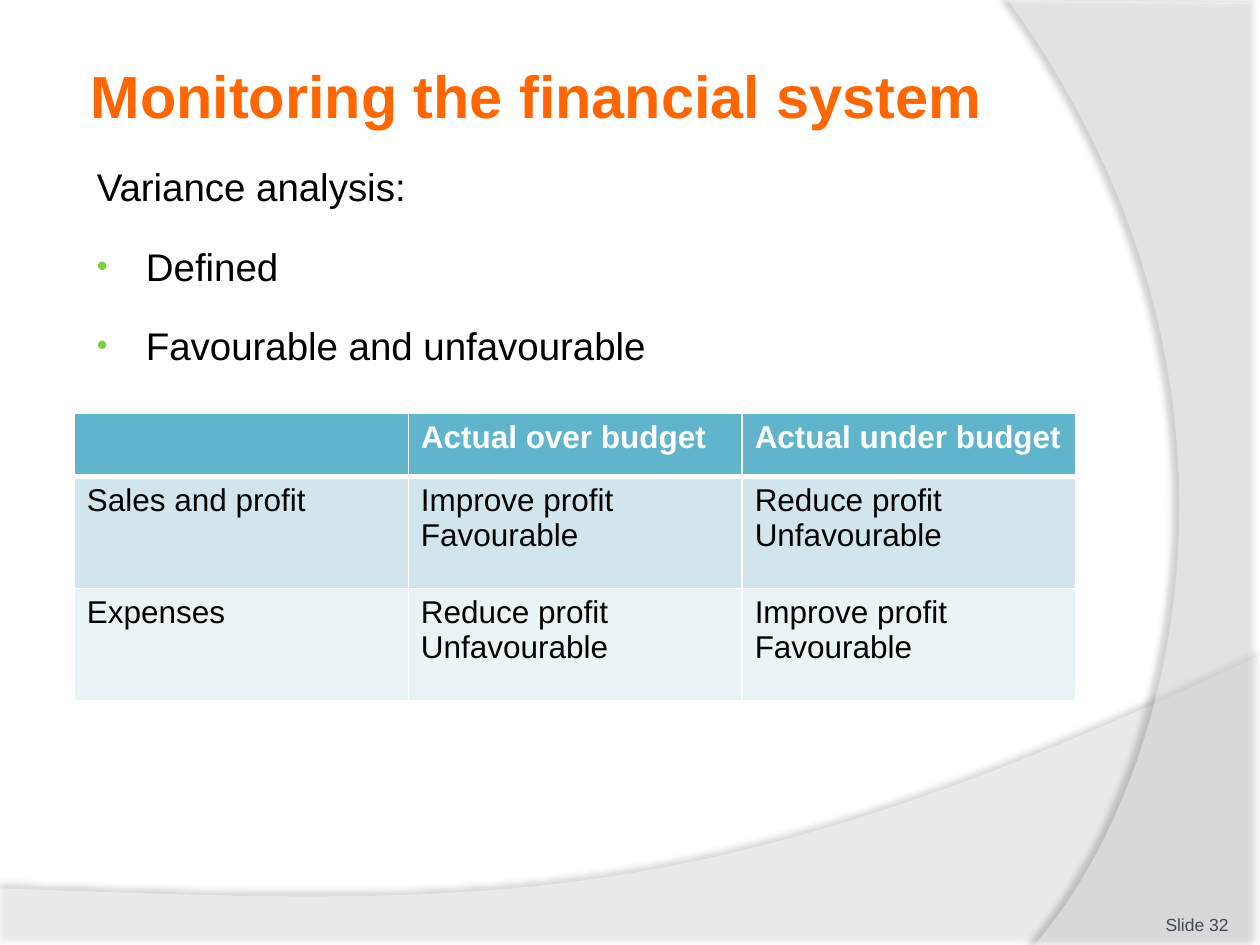
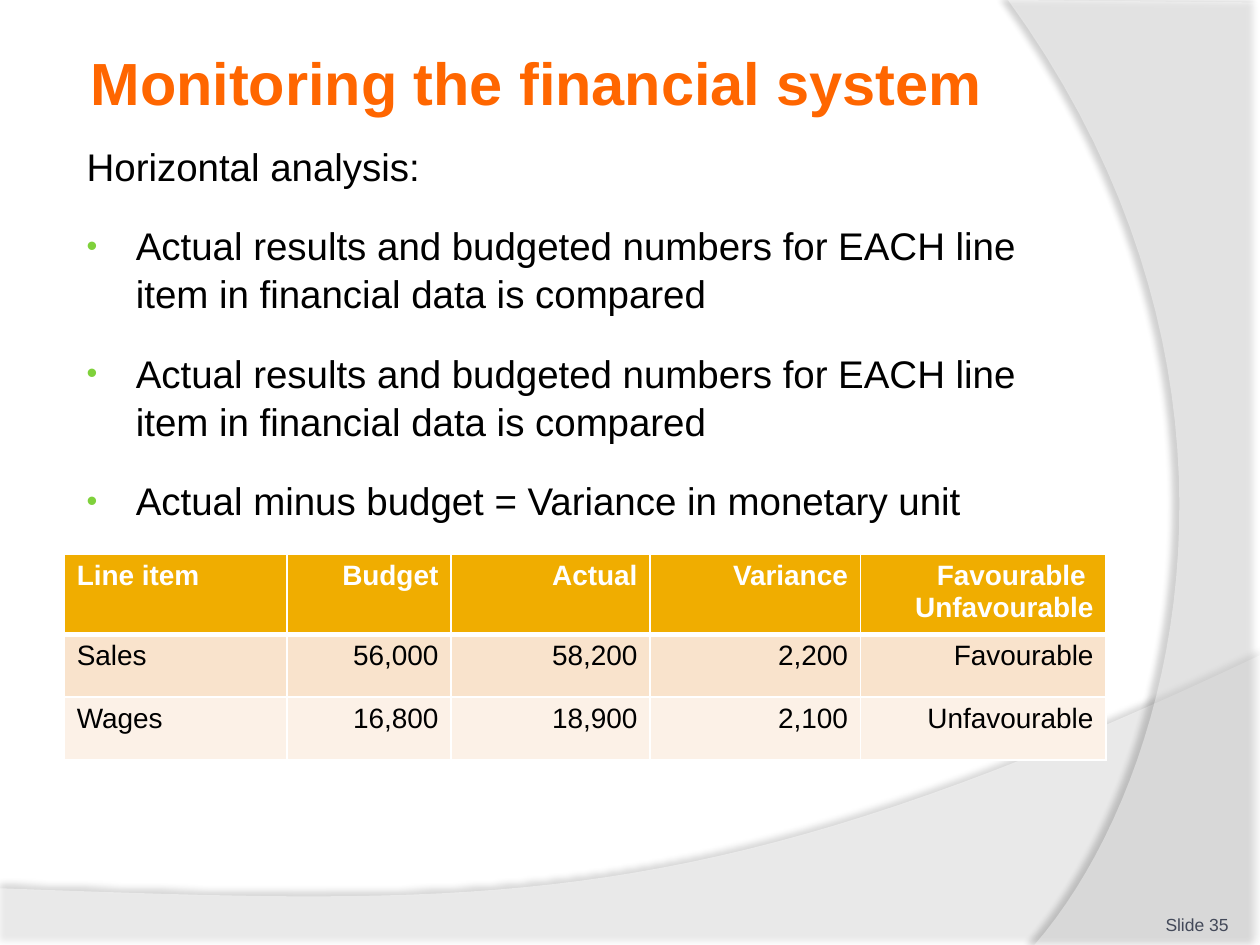
from lxml.etree import SubElement
from pptx import Presentation
from pptx.dml.color import RGBColor
from pptx.enum.text import MSO_ANCHOR as Anchor, PP_ALIGN as Align
from pptx.oxml.ns import qn
from pptx.util import Inches, Pt

WHITE = RGBColor(0xFF, 0xFF, 0xFF)
BLACK = RGBColor(0x00, 0x00, 0x00)
ORANGE = RGBColor(0xFF, 0x66, 0x00)
GREEN = RGBColor(0x7F, 0xD1, 0x3B)
SLATE = RGBColor(0x43, 0x49, 0x59)
TEAL_BANDS = [RGBColor(0x60, 0xB5, 0xCC), RGBColor(0xD2, 0xE5, 0xEC), RGBColor(0xEA, 0xF3, 0xF6)]
GOLD_BANDS = [RGBColor(0xF0, 0xAD, 0x00), RGBColor(0xF9, 0xE3, 0xCC), RGBColor(0xFC, 0xF1, 0xE7)]
FONT = "Arial"
TITLE = "Monitoring the financial system"
BODY_INDENT = Inches(0.39)

SLIDES = [
    {
        "title_box": (0.67, 0.36, 8.17, 0.79),
        "body_box": (0.67, 1.23, 8.17, 4.95),
        "lead": "Variance analysis:",
        "bullets": ["Defined", "Favourable and unfavourable"],
        "number": "Slide 32",
        "table": {
            "at": (0.59, 3.28),
            "columns": [2.65, 2.65, 2.65],
            "heights": [0.5, 0.89, 0.89],
            "size": 18,
            "bands": TEAL_BANDS,
            "number_align": Align.LEFT,
            "rows": [
                ["", "Actual over budget", "Actual under budget"],
                ["Sales and profit", "Improve profit\nFavourable", "Reduce profit\nUnfavourable"],
                ["Expenses", "Reduce profit\nUnfavourable", "Improve profit\nFavourable"],
            ],
        },
    },
    {
        "title_box": (0.67, 0.21, 8.17, 0.87),
        "body_box": (0.59, 1.07, 8.17, 5.83),
        "lead": "Horizontal analysis:",
        "bullets": [
            "Actual results and budgeted numbers for EACH line item in financial data is compared",
            "Actual results and budgeted numbers for EACH line item in financial data is compared",
            "Actual minus budget = Variance in monetary unit",
        ],
        "number": "Slide 35",
        "table": {
            "at": (0.51, 4.4),
            "columns": [1.77, 1.3, 1.58, 1.67, 1.95],
            "heights": [0.59, 0.5, 0.5],
            "size": 16,
            "bands": GOLD_BANDS,
            "number_align": Align.RIGHT,
            "rows": [
                ["Line item", "Budget", "Actual", "Variance", "Favourable \nUnfavourable"],
                ["Sales", "56,000", "58,200", "2,200", "Favourable"],
                ["Wages", "16,800", "18,900", "2,100", "Unfavourable"],
            ],
        },
    },
]

SWOOSHES = [
    {
        "corners": [(0, 7.05), (0, 7.51), (10, 7.51)],
        "curve": [(10, 5.2), (5.59, 7.29), (3.91, 7.19), (0, 7.05)],
        "opacity": 45,
        "shadow": {"opacity": 35, "blur": 4, "distance": 3.5, "angle": 270},
    },
    {
        "corners": [(10, 0.02), (10, 7.5)],
        "curve": [(8.21, 7.5), (9.35, 6.19), (10.18, 3), (8, 0)],
        "opacity": 40,
        "shadow": {"opacity": 45, "blur": 4, "distance": 4, "angle": 180},
    },
]


def bezier(controls, steps=40):
    def along(t, axis):
        a, b, c, d = (point[axis] for point in controls)
        u = 1 - t
        return u**3 * a + 3 * u * u * t * b + 3 * u * t * t * c + t**3 * d

    return [(along(i / steps, 0), along(i / steps, 1)) for i in range(steps + 1)]


def set_opacity(color, percent):
    SubElement(color, qn("a:alpha"), val=str(percent * 1000))


def add_swoosh(page, swoosh):
    points = [(Inches(x), Inches(y)) for x, y in swoosh["corners"] + bezier(swoosh["curve"])]
    builder = page.shapes.build_freeform(*points[0])
    builder.add_line_segments(points[1:], close=True)
    shape = builder.convert_to_shape()
    shape.fill.solid()
    shape.fill.fore_color.rgb = WHITE
    shape.line.fill.background()
    shape.shadow.inherit = False
    properties = shape._element.spPr
    set_opacity(properties.find(qn("a:solidFill"))[0], swoosh["opacity"])
    shadow = swoosh["shadow"]
    outer = SubElement(
        properties.find(qn("a:effectLst")), qn("a:outerShdw"),
        blurRad=str(Pt(shadow["blur"])), dist=str(Pt(shadow["distance"])),
        dir=str(shadow["angle"] * 60000), algn="ctr", rotWithShape="0",
    )
    set_opacity(SubElement(outer, qn("a:srgbClr"), val=str(BLACK)), shadow["opacity"])


def add_span(para, text, size, color, bold=False):
    span = para.add_run()
    span.text = text
    span.font.name = FONT
    span.font.size = Pt(size)
    span.font.bold = bold
    span.font.color.rgb = color


def add_box(page, place, anchor=Anchor.TOP, inset=None):
    frame = page.shapes.add_textbox(*map(Inches, place)).text_frame
    frame.word_wrap = True
    frame.vertical_anchor = anchor
    if inset is not None:
        frame.margin_left = frame.margin_right = Inches(inset)
        frame.margin_top = frame.margin_bottom = Inches(inset)
    return frame


def add_bullet(para):
    properties = para._p.get_or_add_pPr()
    properties.set("marL", str(BODY_INDENT))
    properties.set("indent", str(-BODY_INDENT))
    SubElement(SubElement(properties, qn("a:buClr")), qn("a:srgbClr"), val=str(GREEN))
    SubElement(properties, qn("a:buSzPct"), val="80000")
    SubElement(properties, qn("a:buFont"), typeface=FONT)
    SubElement(properties, qn("a:buChar"), char="•")


def add_body(page, place, lead, bullets):
    frame = add_box(page, place)
    for index, text in enumerate([lead] + bullets):
        para = frame.add_paragraph() if index else frame.paragraphs[0]
        if index:
            add_bullet(para)
            para.space_before = Pt(6)
        para.space_after = Pt(12)
        para.line_spacing = 1.04
        add_span(para, text, 22, BLACK)


def set_borders(cell, row):
    widths = {"L": 1, "R": 1, "T": 3 if row == 1 else 1, "B": 3 if row == 0 else 1}
    properties = cell._tc.get_or_add_tcPr()
    for side, width in widths.items():
        line = SubElement(properties, qn(f"a:ln{side}"), w=str(Pt(width)))
        SubElement(SubElement(line, qn("a:solidFill")), qn("a:srgbClr"), val=str(WHITE))


def add_grid(page, grid):
    rows, columns, heights = grid["rows"], grid["columns"], grid["heights"]
    place = (*grid["at"], sum(columns), sum(heights))
    table = page.shapes.add_table(len(rows), len(columns), *map(Inches, place)).table
    table.first_row = table.horz_banding = False
    for column, width in zip(table.columns, columns):
        column.width = Inches(width)
    for r, texts in enumerate(rows):
        table.rows[r].height = Inches(heights[r])
        for c, text in enumerate(texts):
            cell = table.cell(r, c)
            set_borders(cell, r)
            cell.fill.solid()
            cell.fill.fore_color.rgb = grid["bands"][r]
            for index, line in enumerate(text.split("\n") if text else []):
                frame = cell.text_frame
                para = frame.add_paragraph() if index else frame.paragraphs[0]
                para.alignment = grid["number_align"] if c else Align.LEFT
                add_span(para, line, grid["size"], BLACK if r else WHITE, bold=r == 0)


def add_page(deck, content):
    page = deck.slides.add_slide(deck.slide_layouts[6])
    page.background.fill.solid()
    page.background.fill.fore_color.rgb = WHITE
    for swoosh in SWOOSHES:
        add_swoosh(page, swoosh)
    title = add_box(page, content["title_box"], Anchor.MIDDLE, 0.05)
    add_span(title.paragraphs[0], TITLE, 34, ORANGE, bold=True)
    add_body(page, content["body_box"], content["lead"], content["bullets"])
    footer = add_box(page, (8.92, 7.02, 0.83, 0.4), Anchor.BOTTOM, 0)
    footer.paragraphs[0].alignment = Align.RIGHT
    add_span(footer.paragraphs[0], content["number"], 10, SLATE)
    add_grid(page, content["table"])


def main():
    deck = Presentation()
    deck.slide_width, deck.slide_height = Inches(10), Inches(7.5)
    for content in SLIDES:
        add_page(deck, content)
    deck.save("out.pptx")


if __name__ == "__main__":
    main()
